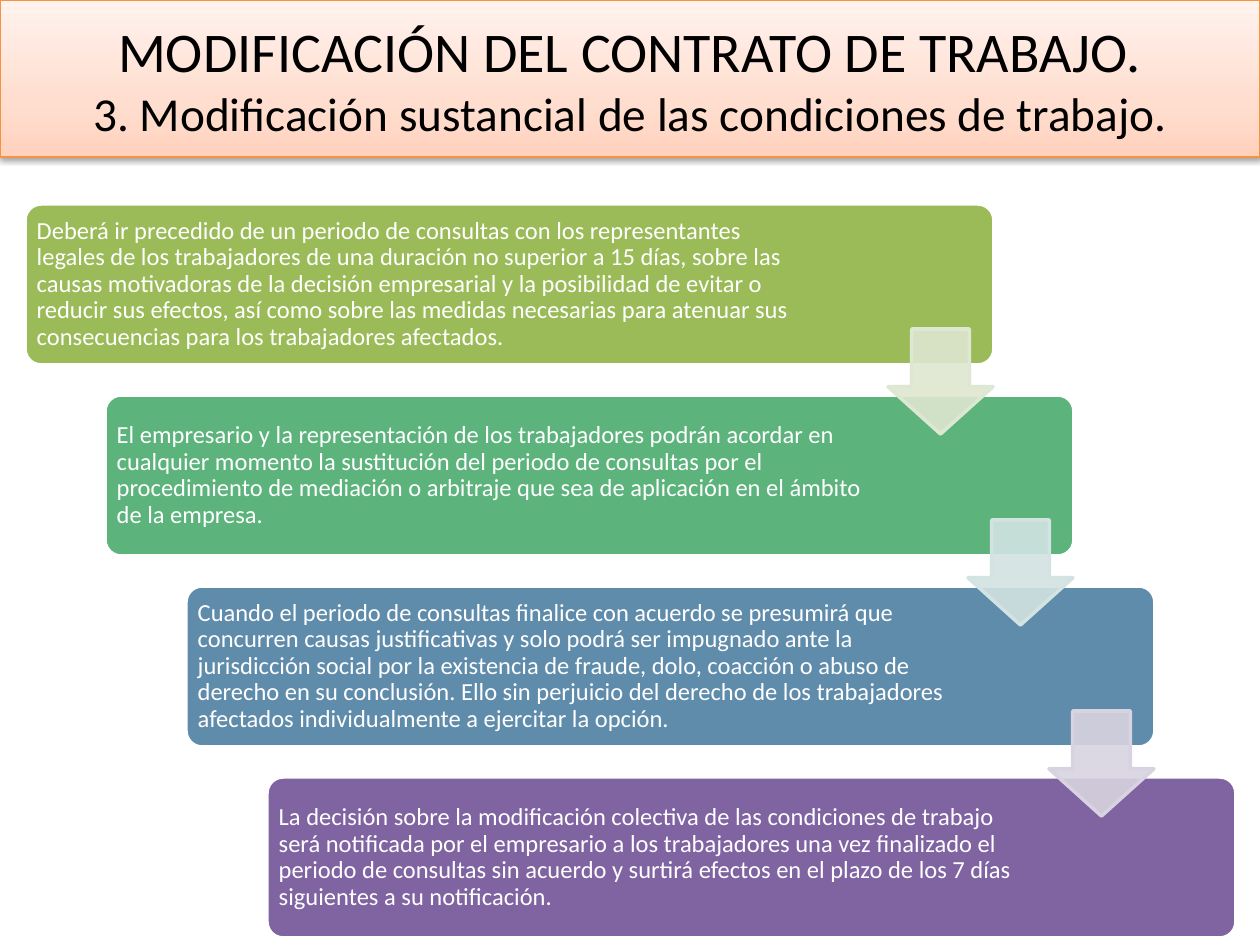
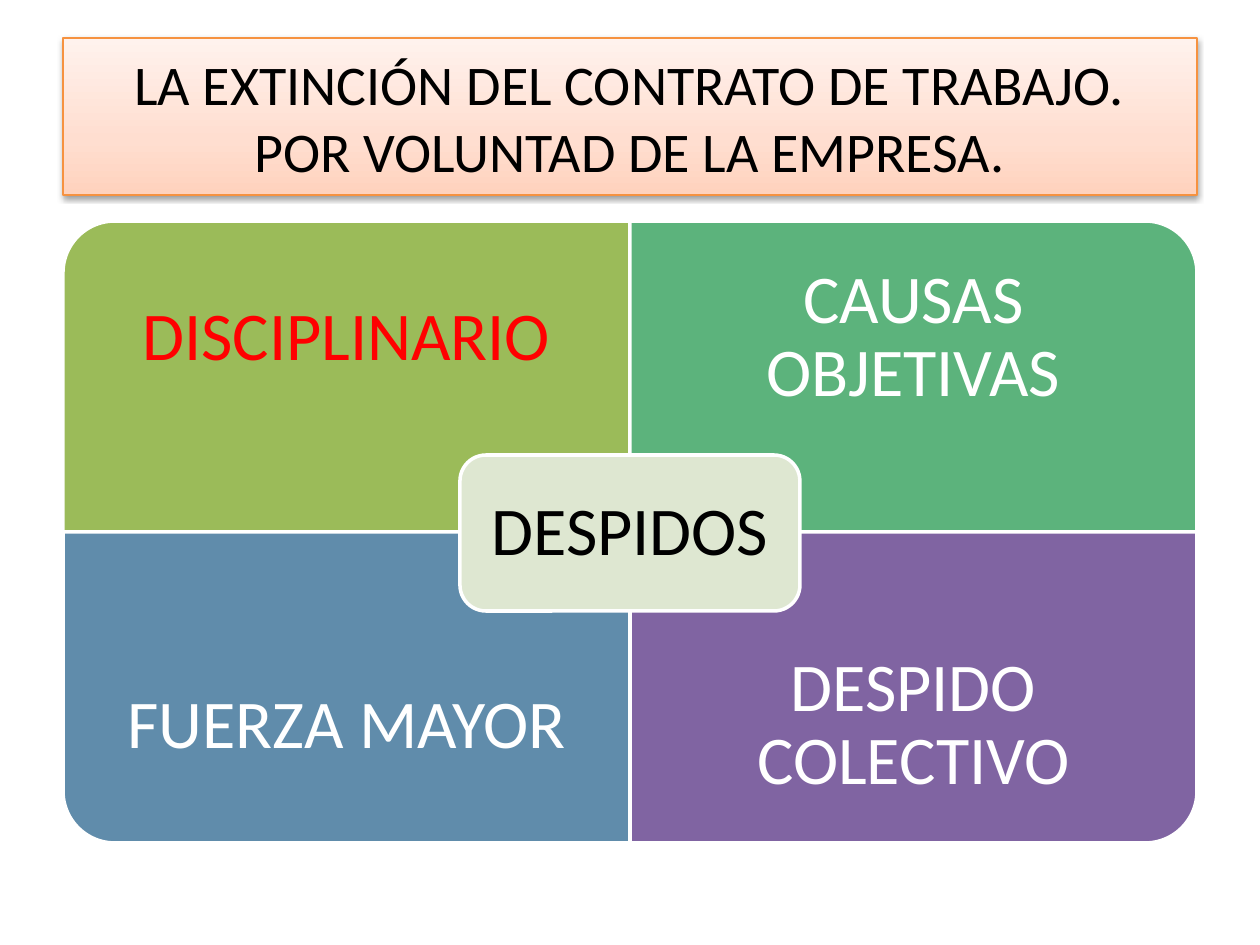
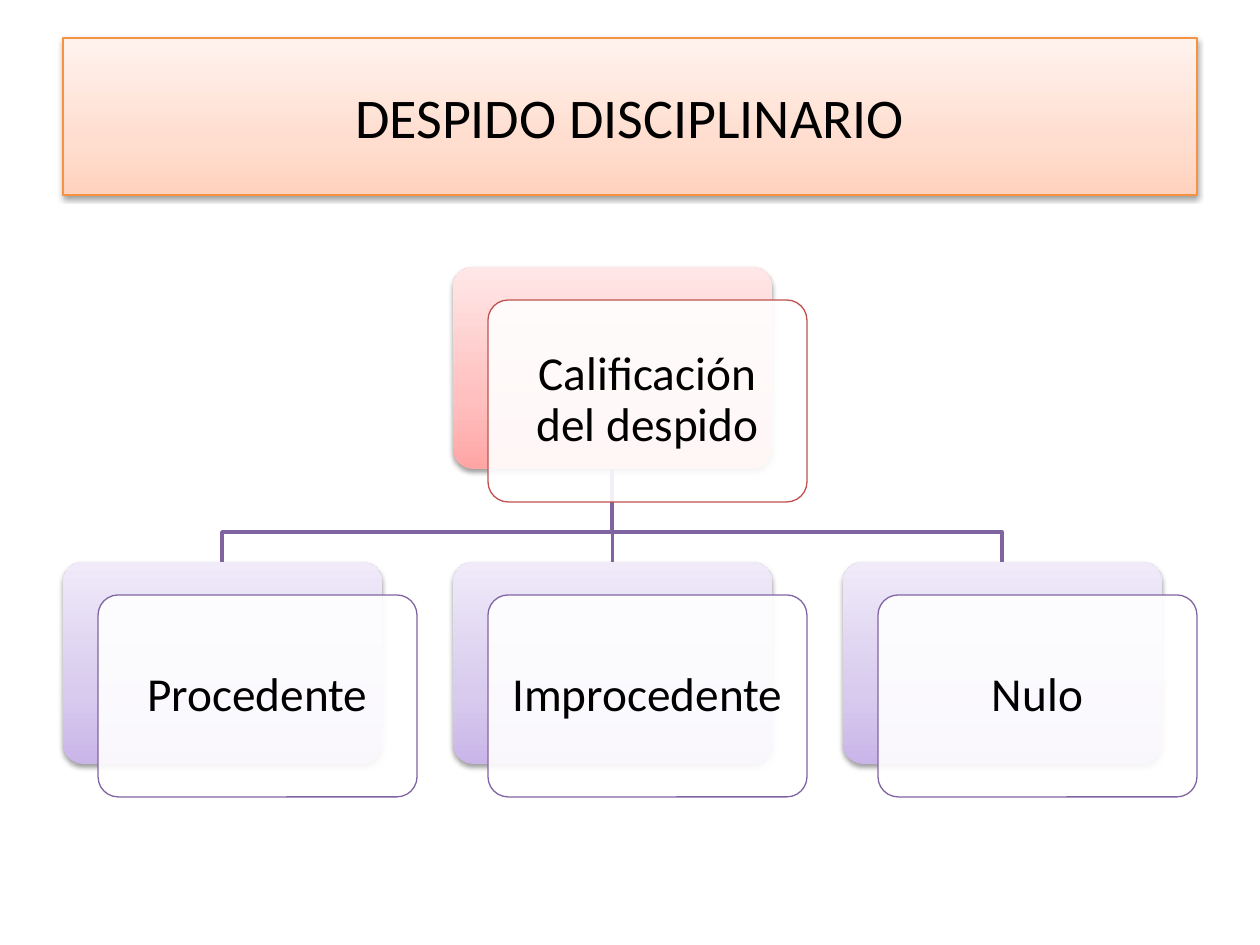
from copy import deepcopy
from pptx import Presentation
from pptx.dml.color import RGBColor
from pptx.enum.shapes import MSO_CONNECTOR, MSO_SHAPE
from pptx.enum.text import MSO_ANCHOR, MSO_AUTO_SIZE, PP_ALIGN
from pptx.oxml import parse_xml
from pptx.oxml.ns import nsdecls, qn
from pptx.util import Inches, Pt

PX = 7257  # EMU in one px, 126 px to the inch
FONT = "Calibri"
WHITE, BLACK, RED = "FFFFFF", "000000", "FF0000"
GREEN, TEAL, BLUE, PURPLE = HUES = "9BBB59", "5CB37C", "608CAB", "8064A2"
PALE = "DEE7D1"
ORANGE, BRICK = "F69240", "C0504D"
PEACH = "FFD2BD", "FFDED0", "FFF2ED"
ROSE = "FFA6A5", "FFC0BF", "FFE7E7"
LILAC = "C9B5E8", "D8CBEE", "F0EAF9"
tint = RGBColor.from_string


def paint(shape, fill, edge=None, width=2, alpha=100, shade=False):
    """Fill with a hex colour, a ramp of three or nothing; set line and shadow."""
    if fill is None:
        shape.fill.background()
    elif isinstance(fill, str):
        shape.fill.solid()
        shape.fill.fore_color.rgb = tint(fill)
    else:
        shape.fill.gradient()
        shape.fill.gradient_angle = 90
        stops = shape._element.find(".//" + qn("a:gsLst"))
        stops.append(deepcopy(stops[1]))
        for stop, hue, spot in zip(shape.fill.gradient_stops, fill, (0, 0.35, 1)):
            stop.color.rgb, stop.position = tint(hue), spot
    if edge:
        shape.line.color.rgb = tint(edge)
        shape.line.width = Pt(width)
    else:
        shape.line.fill.background()
    props = shape._element.spPr
    if alpha < 100:
        for hue in props.findall(qn("a:solidFill") + "/" + qn("a:srgbClr")):
            hue.append(parse_xml(f'<a:alpha {nsdecls("a")} val="{alpha * 1000}"/>'))
    shape.shadow.inherit = False
    if shade:
        props.find(qn("a:effectLst")).append(parse_xml(
            f'<a:outerShdw {nsdecls("a")} blurRad="40000" dist="20000" dir="5400000" '
            'rotWithShape="0"><a:srgbClr val="000000"><a:alpha val="38000"/>'
            '</a:srgbClr></a:outerShdw>'))


def write(shape, lines, hue=BLACK, pads=(13, 6, 13, 6), align=PP_ALIGN.CENTER, space=0.9):
    """Write (text, size) lines as one paragraph with line breaks."""
    frame = shape.text_frame
    frame.word_wrap = True
    frame.auto_size = MSO_AUTO_SIZE.NONE
    frame.vertical_anchor = MSO_ANCHOR.MIDDLE
    (frame.margin_left, frame.margin_top,
     frame.margin_right, frame.margin_bottom) = [PX * n for n in pads]
    para = frame.paragraphs[0]
    para.alignment, para.line_spacing = align, space
    for i, (text, size) in enumerate(lines):
        if i:
            para.add_line_break()
        run = para.add_run()
        run.text = text
        run.font.name, run.font.size = FONT, Pt(size)
        run.font.color.rgb = tint(hue)


deck = Presentation()
deck.slide_width, deck.slide_height = Inches(10), Inches(7.5)

# Slides with their title bands
heads = [
    ((0, 0, 1260, 157), [("MODIFICACIÓN DEL CONTRATO DE TRABAJO.", 32),
                         ("3. Modificación sustancial de las condiciones de trabajo.", 27)]),
    ((63, 38, 1134, 157), [("LA EXTINCIÓN DEL CONTRATO DE TRABAJO.", 32),
                           ("POR VOLUNTAD DE LA EMPRESA.", 32)]),
    ((63, 38, 1134, 157), [("DESPIDO DISCIPLINARIO", 32)]),
]
pages = []
for box, lines in heads:
    page = deck.slides.add_slide(deck.slide_layouts[5])
    head = page.shapes.title
    head.left, head.top, head.width, head.height = [PX * n for n in box]
    paint(head, PEACH, ORANGE, 0.75, shade=True)
    write(head, lines, space=1.0)
    pages.append(page.shapes)
change, firing, rating = pages

# Slide 1: staircase of steps
steps = [
    "Deberá ir precedido de un periodo de consultas con los representantes legales de los "
    "trabajadores de una duración no superior a 15 días, sobre las causas motivadoras de la "
    "decisión empresarial y la posibilidad de evitar o reducir sus efectos, así como sobre las "
    "medidas necesarias para atenuar sus consecuencias para los trabajadores afectados.",
    "El empresario y la representación de los trabajadores podrán acordar en cualquier momento "
    "la sustitución del periodo de consultas por el procedimiento de mediación o arbitraje que "
    "sea de aplicación en el ámbito de la empresa.",
    "Cuando el periodo de consultas finalice con acuerdo se presumirá que concurren causas "
    "justificativas y solo podrá ser impugnado ante la jurisdicción social por la existencia de "
    "fraude, dolo, coacción o abuso de derecho en su conclusión. Ello sin perjuicio del derecho "
    "de los trabajadores afectados individualmente a ejercitar la opción.",
    "La decisión sobre la modificación colectiva de las condiciones de trabajo será notificada "
    "por el empresario a los trabajadores una vez finalizado el periodo de consultas sin acuerdo "
    "y surtirá efectos en el plazo de los 7 días siguientes a su notificación.",
]
spots = [(25 + 242 * i // 3, 204 + 191 * i) for i in range(len(steps))]
for (x, y), text, hue in zip(spots, steps, HUES):
    step = change.add_shape(MSO_SHAPE.ROUNDED_RECTANGLE, *[PX * n for n in (x, y, 969, 161)])
    step.adjustments[0] = 0.1
    paint(step, hue, WHITE)
    write(step, [(text, 14)], WHITE, (7, 7, 192, 7), PP_ALIGN.LEFT)

# Arrows from step to step
for (x, y), hue in zip(spots, (PALE, "D2E3E2", "D8D3E0")):
    arrow = change.add_shape(MSO_SHAPE.DOWN_ARROW,
                             *[PX * n for n in (x + 863, y + 125, 105, 105)])
    arrow.adjustments[0], arrow.adjustments[1] = 0.55, 0.45
    paint(arrow, hue, hue, alpha=90)

# Slide 2: four quarters, each with its round corner turned outwards
wide, high = 567, 311
kinds = [("DISCIPLINARIO", RED, 270), ("CAUSAS OBJETIVAS", WHITE, 0),
         ("FUERZA MAYOR", WHITE, 180), ("DESPIDO COLECTIVO", WHITE, 90)]
for i, (text, ink, turn) in enumerate(kinds):
    row, col = divmod(i, 2)
    x, y = 63 + wide * col, 221 + high * row
    box = (x, y, wide, high)
    if turn in (90, 270):
        gap = (wide - high) // 2
        box = (x + gap, y - gap, high, wide)
    part = firing.add_shape(MSO_SHAPE.ROUND_1_RECTANGLE, *[PX * n for n in box])
    part.rotation = turn
    paint(part, HUES[i], WHITE)
    label = firing.add_textbox(*[PX * n for n in (x, y + 77 * row, wide, 234)])
    write(label, [(text, 39)], ink, (38,) * 4)

# Centre of the quarters
core = firing.add_shape(MSO_SHAPE.ROUNDED_RECTANGLE, *[PX * n for n in (460, 455, 340, 156)])
paint(core, PALE, WHITE)
write(core, [("DESPIDOS", 39)], BLACK, (20,) * 4)

# Slide 3: tree of cards, back plates first
wide, high = 319, 202
base, top = 267, 562
cards = [("Calificación del despido", 453, base, ROSE, BRICK)]
for i, text in enumerate(("Procedente", "Improcedente", "Nulo")):
    cards.append((text, 63 + 390 * i, top, LILAC, PURPLE))
plates = []
for text, x, y, ramp, edge in cards:
    plate = rating.add_shape(MSO_SHAPE.ROUNDED_RECTANGLE, *[PX * n for n in (x, y, wide, high)])
    plate.adjustments[0] = 0.1
    paint(plate, ramp, shade=True)
    plates.append(plate)

# Branches: bent to the sides, straight to the middle
mid, low = 453 + wide // 2, base + high
for x in (63, 843):
    end = x + wide // 2
    path = rating.build_freeform(mid, low, scale=PX)
    path.add_line_segments([(mid, 532), (end, 532), (end, top)], close=False)
    paint(path.convert_to_shape(), None, PURPLE)
stem = rating.add_connector(MSO_CONNECTOR.STRAIGHT, *[PX * n for n in (mid, low, mid, top)])
stem.begin_connect(plates[0], 2)
stem.end_connect(plates[2], 0)
stem.line.color.rgb, stem.line.width = tint(PURPLE), Pt(2)
stem._element.spPr.append(parse_xml(f'<a:effectLst {nsdecls("a")}/>'))

# Front cards with the text
for text, x, y, ramp, edge in cards:
    card = rating.add_shape(MSO_SHAPE.ROUNDED_RECTANGLE,
                            *[PX * n for n in (x + 35, y + 33, wide, high)])
    card.adjustments[0] = 0.1
    paint(card, WHITE, edge, 0.75, alpha=90)
    write(card, [(text, 27)], BLACK, (14,) * 4)

deck.save("out.pptx")
